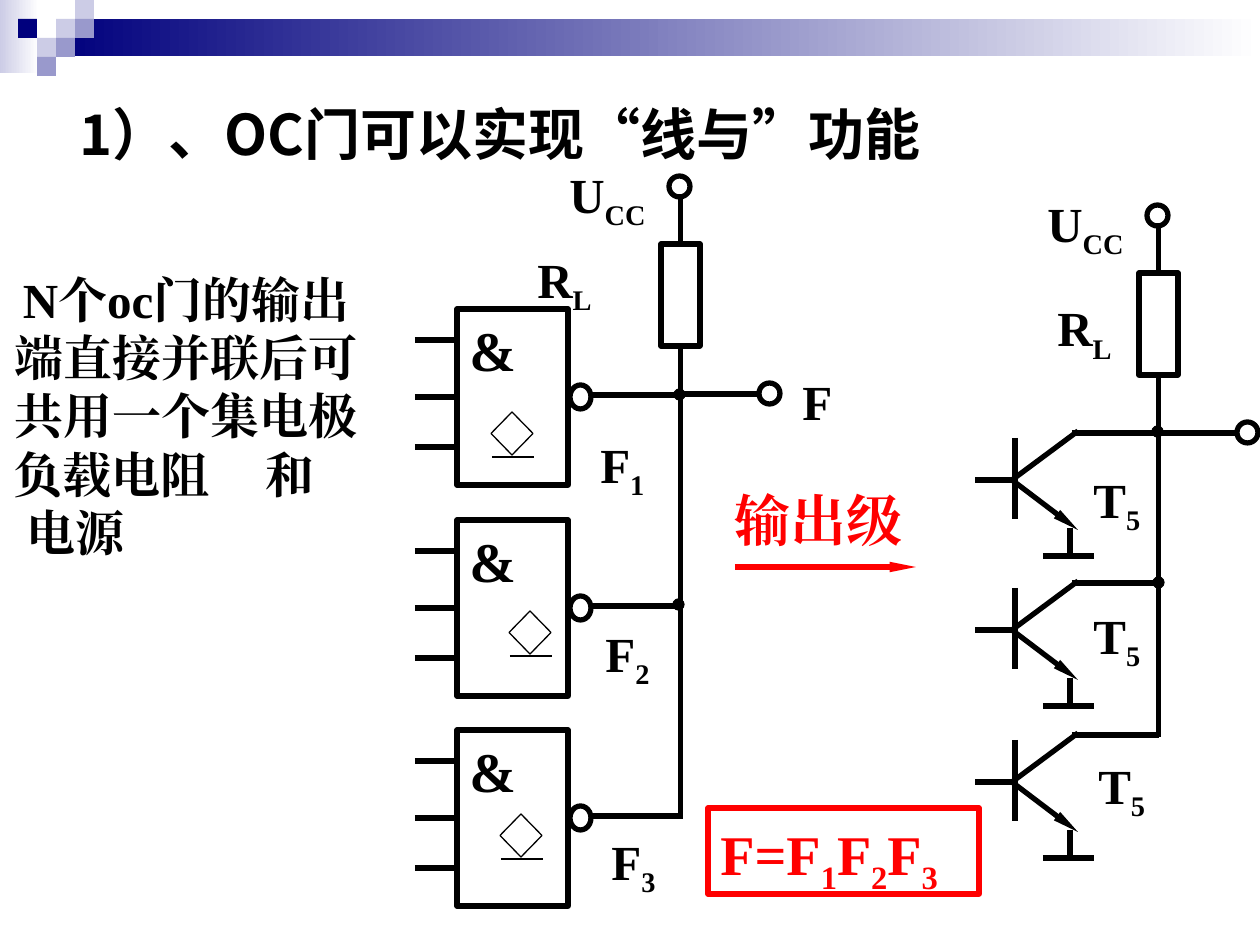
from lxml.etree import SubElement
from pptx import Presentation
from pptx.dml.color import RGBColor
from pptx.enum.shapes import MSO_CONNECTOR, MSO_SHAPE as Preset
from pptx.enum.text import MSO_ANCHOR as Anchor, PP_ALIGN as Align
from pptx.oxml.ns import qn
from pptx.util import Pt

PX = 914400 / 126
COLORS = {"black": "000000", "white": "FFFFFF", "red": "FF0000",
          "navy": "00007D", "lavender": "CCCCE6", "periwinkle": "9999CC"}
SERIF, SANS = "Times New Roman", "Noto Sans CJK SC"


def px(length):
    return round(length * PX)


def rgb(name):
    return RGBColor.from_string(COLORS[name])


def add_box(slide, preset, x, y, w, h, fill=None, line="black", weight=3):
    box = slide.shapes.add_shape(preset, px(x), px(y), px(w), px(h))
    box.shadow.inherit = False
    if fill:
        box.fill.solid()
        box.fill.fore_color.rgb = rgb(fill)
    else:
        box.fill.background()
    if line:
        box.line.color.rgb = rgb(line)
        box.line.width = Pt(weight)
    else:
        box.line.fill.background()
    return box


def add_wire(slide, x1, y1, x2, y2, color="black", weight=3, arrow=False):
    wire = slide.shapes.add_connector(
        MSO_CONNECTOR.STRAIGHT, px(x1), px(y1), px(x2), px(y2))
    wire.line.color.rgb = rgb(color)
    wire.line.width = Pt(weight)
    if arrow:
        SubElement(wire.line._get_or_add_ln(), qn("a:tailEnd"),
                   type="triangle", w="sm", len="lg")
    SubElement(wire._element.spPr, qn("a:effectLst"))
    return wire


def add_run(paragraph, text, size, color="black", font=SERIF, subscript=False):
    run = paragraph.add_run()
    run.text = text
    run.font.size, run.font.bold = Pt(size), True
    run.font.color.rgb = rgb(color)
    run.font.name = font
    props = run._r.get_or_add_rPr()
    SubElement(props, qn("a:ea"), typeface=font)
    if subscript:
        props.set("baseline", "-25000")


def write(frame, parts, size, color="black", font=SERIF, top=12):
    """Fill a frame with one line; every second part is a subscript."""
    frame.word_wrap = True
    frame.vertical_anchor = Anchor.TOP
    frame.margin_top = px(top)
    line = frame.paragraphs[0]
    line.alignment = Align.LEFT
    for i, part in enumerate(parts):
        add_run(line, part, size, color, font, subscript=i % 2 == 1)
    return line


def add_label(slide, x, y, w, h, *parts, size=28, **style):
    label = slide.shapes.add_textbox(px(x), px(y), px(w), px(h))
    return write(label.text_frame, parts, size, **style)


def add_dot(slide, x, y):
    add_box(slide, Preset.OVAL, x - 6, y - 6, 11, 11, fill="black", weight=0.75)


def draw_header(slide):
    for x, y, w, h, start in ((0, 0, 39, 73, "lavender"), (57, 19, 1203, 37, "navy")):
        band = add_box(slide, Preset.RECTANGLE, x, y, w, h, line=None)
        band.fill.gradient()
        band.fill.gradient_angle = 0
        for stop, color in zip(band.fill.gradient_stops, (start, "white")):
            stop.color.rgb = rgb(color)
    for column, row, color in ((3, 1, "lavender"), (4, 0, "lavender"),
                               (4, 1, "periwinkle"), (2, 2, "lavender"), (1, 1, "navy"),
                               (3, 2, "periwinkle"), (2, 3, "periwinkle")):
        add_box(slide, Preset.RECTANGLE, 19 * column - 1, 19 * row, 19, 19,
                fill=color, line=None)


def draw_explanation(slide, x, y, w, h):
    box = slide.shapes.add_textbox(px(x), px(y), px(w), px(h))
    frame = box.text_frame
    frame.word_wrap = True
    frame.vertical_anchor = Anchor.MIDDLE
    # text, left margin (None centres the line), tab stop
    lines = (("N个oc门的输出", None, None), ("端直接并联后可", None, None),
             ("共用一个集电极", None, None), ("负载电阻\t和", 6, 299),
             ("电源", 19, None))
    for i, (text, margin, tab) in enumerate(lines):
        line = frame.paragraphs[0] if i == 0 else frame.add_paragraph()
        line.alignment = Align.CENTER if margin is None else Align.LEFT
        line.line_spacing = Pt(33.4)
        props = line._p.get_or_add_pPr()
        if margin:
            props.set("marL", str(px(margin)))
            props.set("indent", "0")
        if tab:
            SubElement(SubElement(props, qn("a:tabLst")), qn("a:tab"),
                       pos=str(px(tab)), algn="l")
        add_run(line, text, 28)


def draw_gate(slide, x, y, number, diamond, label):
    """Draw an open-collector NAND gate; diamond and label are offsets."""
    body = add_box(slide, Preset.RECTANGLE, x, y, 111, 176)
    add_box(slide, Preset.OVAL, x + 113, y + 76, 21, 24)
    add_label(slide, x, y - 6, 78, 79, "&", size=32)
    for dy in (31, 88, 138):
        pin = add_wire(slide, x - 42, y + dy, x, y + dy)
        if dy == 88:
            pin.end_connect(body, 1)
    add_wire(slide, x + 132, y + 86, x + 226, y + 86)
    dx, dy = diamond
    add_box(slide, Preset.DIAMOND, x + dx, y + dy, 42, 43, fill="white", weight=0.75)
    add_wire(slide, x + dx + 1, y + dy + 45, x + dx + 43, y + dy + 45, weight=0.75)
    add_label(slide, x + label[0], y + label[1], 139, 72, "F", number)


def draw_pull_up(slide, x, y, resistor_label, bus_end, output):
    """Draw supply, load resistor, bus and output; x, y is the resistor corner."""
    resistor = add_box(slide, Preset.RECTANGLE, x, y, 39, 102)
    middle = x + 19.5
    add_wire(slide, middle, y, middle, y - 50).begin_connect(resistor, 0)
    add_box(slide, Preset.OVAL, x + 8, y - 68, 21, 21)
    add_label(slide, x - 104, y - 92, 131, 72, "U", "CC")
    dx, dy = resistor_label
    add_label(slide, x + dx, y + dy, 147, 72, "R", "L")
    add_wire(slide, middle, y + 102, middle, y + bus_end).begin_connect(resistor, 2)
    add_wire(slide, middle, y + output, x + 98, y + output)
    add_box(slide, Preset.OVAL, x + 98, y + output - 11, 21, 21)


def draw_transistor(slide, x, y, label):
    """Draw an output transistor; x, y is the free end of its base lead."""
    for x1, y1, x2, y2 in ((40, -42, 40, 39), (37, 0, 103, -49), (37, 0, 0, 0),
                           (95, 48, 95, 76), (68, 76, 119, 76), (97, -47, 184, -47)):
        add_wire(slide, x + x1, y + y1, x + x2, y + y2)
    add_wire(slide, x + 37, y, x + 103, y + 50, arrow=True)
    add_label(slide, x + label[0], y + label[1], 77, 72, "T", "5")


def draw_gate_circuit(slide, x, y):
    for number, dy, diamond, label in (("1", 0, (34, 103), (131, 113)),
                                       ("2", 211, (52, 91), (136, 91)),
                                       ("3", 421, (43, 84), (142, 89))):
        draw_gate(slide, x, y + dy, number, diamond, label)
    draw_pull_up(slide, x + 204, y - 65, (-136, -7), 575, 150)
    add_label(slide, x + 333, y + 50, 152, 72, "F")
    add_dot(slide, x + 223, y + 86)
    add_dot(slide, x + 222, y + 296)


def draw_transistor_circuit(slide, x, y):
    for dy, label in ((0, (106, -23)), (150, (106, -37)), (302, (111, -39))):
        draw_transistor(slide, x, y + dy, label)
    draw_pull_up(slide, x + 164, y - 207, (-94, 13), 464, 160)
    add_dot(slide, x + 183, y - 48)
    add_dot(slide, x + 184, y + 103)


def draw_output_stage(slide, x, y):
    caption = add_label(slide, x, y, 255, 79, "输出级", size=32, color="red", top=6)
    caption.line_spacing = Pt(39)
    add_wire(slide, x + 13, y + 89, x + 194, y + 89, color="red", arrow=True)


def draw_result(slide, x, y, w, h):
    result = add_box(slide, Preset.RECTANGLE, x, y, w, h, line="red")
    write(result.text_frame, ("F=F", "1", "F", "2", "F", "3"), 32, color="red")


def main():
    deck = Presentation()
    deck.slide_width, deck.slide_height = px(1260), px(945)
    slide = deck.slides.add_slide(deck.slide_layouts[6])
    draw_header(slide)
    title = add_label(slide, 67, 87, 1075, 79, "1）、OC门可以实现“线与”功能",
                      size=32, font=SANS, top=6)
    title.line_spacing = Pt(42)
    draw_explanation(slide, -5, 262, 382, 307)
    draw_gate_circuit(slide, 457, 309)
    draw_output_stage(slide, 722, 478)
    draw_result(slide, 708, 808, 271, 86)
    draw_transistor_circuit(slide, 975, 480)
    deck.save("out.pptx")


if __name__ == "__main__":
    main()
